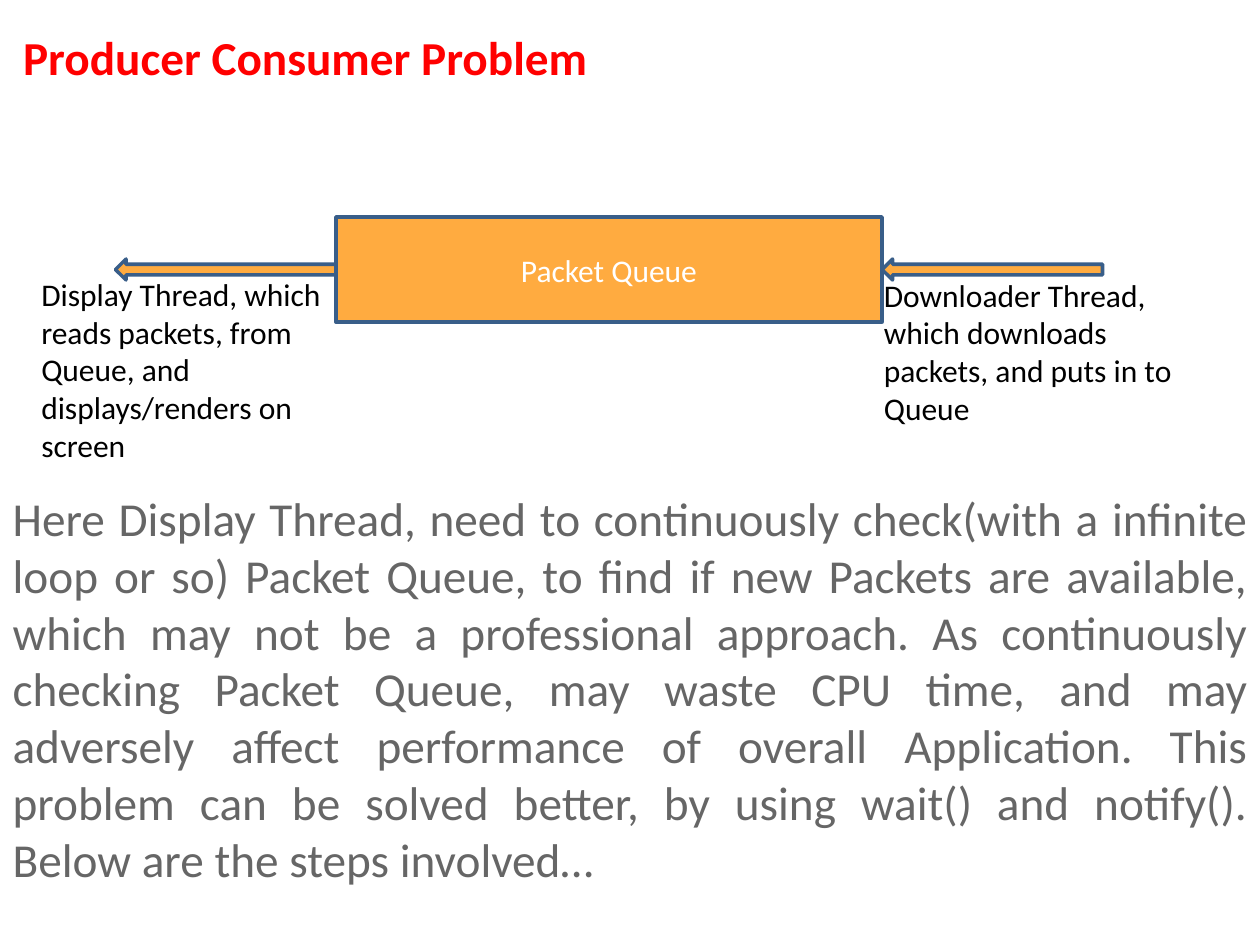
from dataclasses import dataclass

import lxml.etree
import pptx
import pptx.dml.color
import pptx.enum.shapes
import pptx.enum.text
import pptx.oxml.ns
import pptx.util

Pt = pptx.util.Pt
ALIGN = pptx.enum.text.PP_ALIGN
ANCHOR = pptx.enum.text.MSO_ANCHOR
SHAPE = pptx.enum.shapes.MSO_SHAPE


@dataclass
class Box:
    left: float
    top: float
    width: float
    height: float


@dataclass
class Label:
    text: str
    size: float
    color: str
    align: ALIGN = ALIGN.LEFT
    anchor: ANCHOR = ANCHOR.TOP
    bold: bool = False
    inset: float = 3.6


@dataclass
class Caption:
    box: Box
    text: str


def rgb(value: str) -> pptx.dml.color.RGBColor:
    return pptx.dml.color.RGBColor.from_string(value)


def place(sp, box: Box) -> None:
    sp.left, sp.top = Pt(box.left), Pt(box.top)
    sp.width, sp.height = Pt(box.width), Pt(box.height)


def write(sp, label: Label) -> None:
    tf = sp.text_frame
    tf.word_wrap = True
    tf.auto_size = pptx.enum.text.MSO_AUTO_SIZE.NONE
    tf.vertical_anchor = label.anchor
    tf.margin_left = tf.margin_right = Pt(7.2)
    tf.margin_top = tf.margin_bottom = Pt(label.inset)
    p = tf.paragraphs[0]
    p.alignment = label.align
    p.space_before = Pt(0)
    r = p.add_run()
    r.text = label.text
    r.font.name = "Calibri"
    r.font.size = Pt(label.size)
    r.font.bold = label.bold
    r.font.color.rgb = rgb(label.color)


def remove_bullet(p) -> None:
    pPr = p._p.get_or_add_pPr()
    pPr.set("marL", "0")
    pPr.set("indent", "0")
    lxml.etree.SubElement(pPr, pptx.oxml.ns.qn("a:buNone"))


def add_block(s, kind: SHAPE, box: Box, rotation: float = 0):
    sp = s.shapes.add_shape(kind, Pt(0), Pt(0), Pt(0), Pt(0))
    place(sp, box)
    sp.rotation = rotation
    sp.shadow.inherit = False
    sp.fill.solid()
    sp.fill.fore_color.rgb = rgb("FFAB40")
    sp.line.color.rgb = rgb("395E89")
    sp.line.width = Pt(2)
    return sp


def add_caption(s, caption: Caption) -> None:
    sp = s.shapes.add_textbox(Pt(0), Pt(0), Pt(0), Pt(0))
    place(sp, caption.box)
    write(sp, Label(caption.text, 18, "000000"))


QUEUE = Box(192, 124, 312, 60)
ARROW_WIDTH, ARROW_HEIGHT = 126, 12
CAPTIONS = [
    Caption(Box(498, 154, 192, 94),
            "Downloader Thread, which downloads packets, and puts in to Queue"),
    Caption(Box(16.5, 153.5, 192, 117),
            "Display Thread, which reads packets, from Queue, "
            "and displays/renders on screen"),
]
EXPLANATION = (
    "Here Display Thread, need to continuously check(with a infinite loop or so) "
    "Packet Queue, to find if new Packets are available, which may not be a "
    "professional approach. As continuously checking Packet Queue, may waste CPU "
    "time, and may adversely affect performance of overall Application. This "
    "problem can be solved better, by using wait() and notify(). Below are the "
    "steps involved…"
)


def main() -> None:
    prs = pptx.Presentation()
    prs.slide_width, prs.slide_height = Pt(720), Pt(540)
    s = prs.slides.add_slide(prs.slide_layouts[1])

    title, body = s.shapes.title, s.placeholders[1]
    place(title, Box(6, 9, 632, 71))
    write(title, Label("Producer Consumer Problem", 27, "FF0000",
                       bold=True, inset=7.2))
    place(body, Box(0, 276, 720, 322))
    write(body, Label(EXPLANATION, 27, "666666", ALIGN.JUSTIFY))
    remove_bullet(body.text_frame.paragraphs[0])

    queue = add_block(s, SHAPE.RECTANGLE, QUEUE)
    write(queue, Label("Packet Queue", 18, "FFFFFF", ALIGN.CENTER, ANCHOR.MIDDLE))
    arrow_top = QUEUE.top + (QUEUE.height - ARROW_HEIGHT) / 2
    for left in (QUEUE.left + QUEUE.width, QUEUE.left - ARROW_WIDTH):
        add_block(s, SHAPE.RIGHT_ARROW,
                  Box(left, arrow_top, ARROW_WIDTH, ARROW_HEIGHT), 180)
    for caption in CAPTIONS:
        add_caption(s, caption)

    prs.save("out.pptx")


if __name__ == "__main__":
    main()
